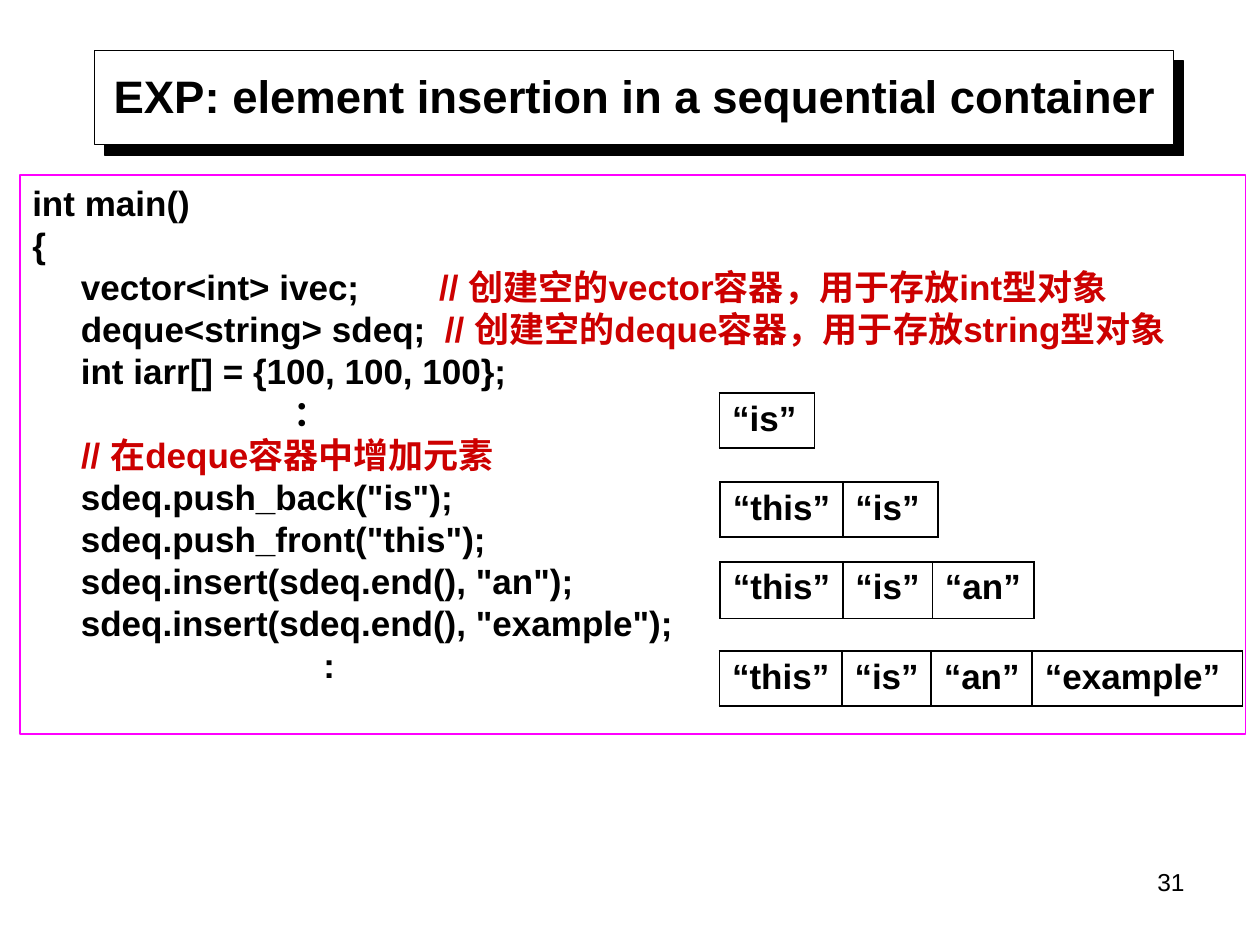
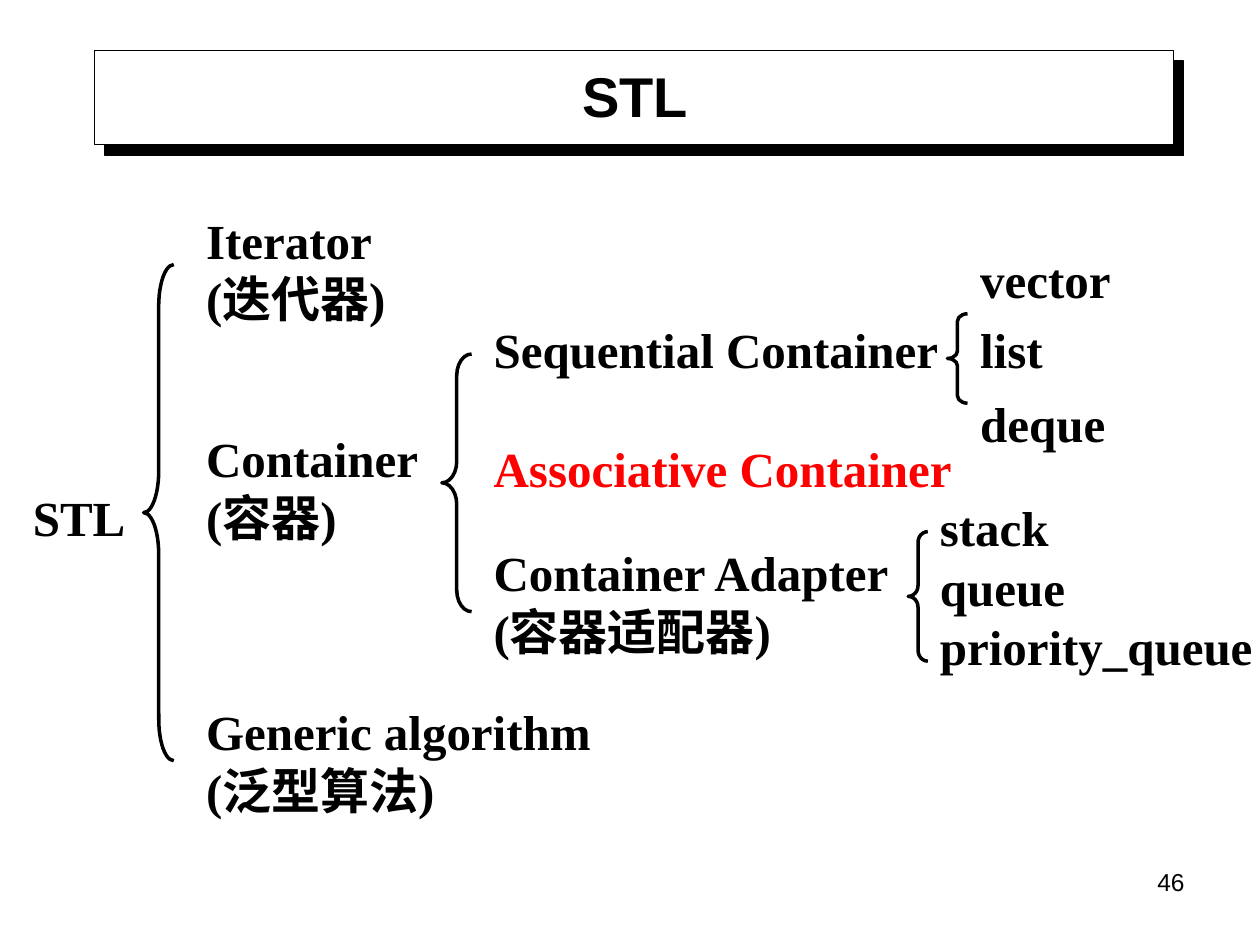
from dataclasses import dataclass

from lxml import etree
from pptx import Presentation
from pptx.dml.color import RGBColor
from pptx.enum.shapes import MSO_SHAPE
from pptx.enum.text import MSO_ANCHOR, PP_ALIGN
from pptx.oxml.ns import qn
from pptx.util import Pt

RECTANGLE, LEFT_BRACE = MSO_SHAPE.RECTANGLE, MSO_SHAPE.LEFT_BRACE
TOP, MIDDLE = MSO_ANCHOR.TOP, MSO_ANCHOR.MIDDLE
LEFT, CENTER, RIGHT = PP_ALIGN.LEFT, PP_ALIGN.CENTER, PP_ALIGN.RIGHT
BLANK_LAYOUT = 6


@dataclass(frozen=True)
class Theme:
    ink: str = "000000"
    paper: str = "FFFFFF"
    frame: str = "FF00FF"
    comment: str = "CC0000"
    highlight: str = "FF0000"
    sans: str = "Arial"
    serif: str = "Times New Roman"
    title_size: int = 32
    long_title_size: int = 26
    code_size: int = 20
    tree_size: int = 28
    number_size: int = 14
    thin: float = 0.75
    cell_line: float = 1.08
    brace_line: float = 2
    leading: float = 1.2


def color(value):
    return RGBColor.from_string(value)


def add_child(parent, tag, **attributes):
    return etree.SubElement(parent, qn(tag), attributes)


def add_tab_stop(paragraph, position):
    tabs = add_child(paragraph._p.get_or_add_pPr(), "a:tabLst")
    add_child(tabs, "a:tab", pos=str(Pt(position)), algn="l")


def write(frame, text, *, size, font, ink, bold=True, align=LEFT, anchor=TOP,
          leading=None, comment_ink=None, tab_stops=None):
    """Fill a text frame; each line of text is one paragraph."""
    frame.word_wrap = True
    frame.vertical_anchor = anchor
    for number, line in enumerate(text.split("\n")):
        paragraph = frame.paragraphs[0] if number == 0 else frame.add_paragraph()
        paragraph.alignment = align
        if leading:
            paragraph.line_spacing = Pt(size * leading)
        if tab_stops and number in tab_stops:
            add_tab_stop(paragraph, tab_stops[number])
        code, mark, comment = line.partition("//")
        for part, part_ink in ((code, ink), (mark + comment, comment_ink or ink)):
            if part:
                run = paragraph.add_run()
                run.text = part
                run.font.size, run.font.name, run.font.bold = Pt(size), font, bold
                run.font.color.rgb = color(part_ink)


class Deck:
    def __init__(self, theme):
        self.theme = theme
        self.presentation = Presentation()
        self.presentation.slide_width = Pt(720)
        self.presentation.slide_height = Pt(540)
        self.slide = None

    def start_slide(self, title, size, number):
        theme = self.theme
        layout = self.presentation.slide_layouts[BLANK_LAYOUT]
        self.slide = self.presentation.slides.add_slide(layout)
        # Title band with its hard shadow
        band = self.shape(RECTANGLE, 54, 28.8, 616.5, 54, theme.ink, theme.thin,
                          fill=theme.paper)
        effects = band._element.spPr.find(qn("a:effectLst"))
        shadow = add_child(effects, "a:outerShdw", dist=str(Pt(8.5)),
                           dir="2700000", algn="ctr", rotWithShape="0")
        add_child(shadow, "a:srgbClr", val=theme.ink)
        self.text(title, 48.5, 31.7, 629, 45.4, size=size, font=theme.sans,
                  align=CENTER, anchor=MIDDLE)
        # Slide number
        self.text(str(number), 516, 491.8, 168, 37.4, size=theme.number_size,
                  font=theme.sans, bold=False, align=RIGHT)

    def shape(self, kind, left, top, width, height, line, weight, fill=None):
        shape = self.slide.shapes.add_shape(kind, Pt(left), Pt(top), Pt(width), Pt(height))
        shape.shadow.inherit = False
        if fill:
            shape.fill.solid()
            shape.fill.fore_color.rgb = color(fill)
        else:
            shape.fill.background()
        shape.line.color.rgb = color(line)
        shape.line.width = Pt(weight)
        return shape

    def text(self, text, left, top, width, height, *, ink=None, **style):
        box = self.slide.shapes.add_textbox(Pt(left), Pt(top), Pt(width), Pt(height))
        write(box.text_frame, text, ink=ink or self.theme.ink, **style)
        return box

    def code(self, text, left, top, width, height, tab_stops):
        theme = self.theme
        panel = self.shape(RECTANGLE, left, top, width, height, theme.frame, theme.thin)
        write(panel.text_frame, text, size=theme.code_size, font=theme.sans,
              ink=theme.ink, leading=theme.leading, comment_ink=theme.comment,
              tab_stops=tab_stops)

    def cells(self, words, widths, left, top, height):
        theme = self.theme
        table = self.slide.shapes.add_table(
            1, len(words), Pt(left), Pt(top), Pt(sum(widths)), Pt(height)).table
        table.first_row = table.horz_banding = False
        for column, (word, width) in enumerate(zip(words, widths)):
            table.columns[column].width = Pt(width)
            cell = table.cell(0, column)
            # The words nearly fill their cells, so leave them the right margin
            cell.margin_right = 0
            cell.fill.background()
            self.border(cell)
            write(cell.text_frame, f"“{word}”", size=theme.code_size,
                  font=theme.sans, ink=theme.ink)

    def border(self, cell):
        properties = cell._tc.get_or_add_tcPr()
        for position, side in enumerate("LRTB"):
            line = etree.Element(qn(f"a:ln{side}"), w=str(Pt(self.theme.cell_line)))
            add_child(add_child(line, "a:solidFill"), "a:srgbClr", val=self.theme.ink)
            properties.insert(position, line)

    def label(self, text, left, top, width, height, ink=None):
        box = self.text(text, left, top, width, height, ink=ink, anchor=MIDDLE,
                        size=self.theme.tree_size, font=self.theme.serif,
                        leading=self.theme.leading)
        box.text_frame.margin_right = 0

    def brace(self, left, top, width, height):
        brace = self.shape(LEFT_BRACE, left, top, width, height,
                           self.theme.ink, self.theme.brace_line)
        # Each curl is one twelfth of the height
        brace.adjustments[0] = height / 12 / width


CODE = """int main()
{
     vector<int> ivec;\t// 创建空的vector容器，用于存放int型对象
     deque<string> sdeq;\t// 创建空的deque容器，用于存放string型对象
     int iarr[] = {100, 100, 100};
\t：
     // 在deque容器中增加元素
     sdeq.push_back("is");
     sdeq.push_front("this");
     sdeq.insert(sdeq.end(), "an");
     sdeq.insert(sdeq.end(), "example");
\t:"""
CODE_TABS = {2: 232.5, 3: 235.8, 5: 149, 11: 166.3}

# Contents of the deque after each call: words, column widths, left, top, height
DEQUE_STATES = [
    (["is"], [54.3], 411.1, 224.6, 31.4),
    (["this", "is"], [70, 54.3], 411.6, 275.6, 31.4),
    (["this", "is", "an"], [70, 51.2, 58.2], 411.6, 321.1, 32.4),
    (["this", "is", "an", "example"], [70, 51, 57.8, 120.2], 411.1, 372.2, 31.4),
]

# Tree labels: text, left, top, width, height
BRANCHES = [
    ("STL", 11.7, 270, 74, 51),
    ("Iterator\n(迭代器)", 110.7, 128.2, 142, 51),
    ("Container\n(容器)", 110.7, 253, 148, 51),
    ("Generic algorithm\n(泛型算法)", 110.7, 406.1, 260.6, 57),
    ("Sequential Container", 275, 179.5, 295, 39.6),
    ("Container Adapter\n(容器适配器)", 275, 315, 250, 57),
]
SEQUENTIAL = [("vector", 139.7, 39.6), ("list", 179.5, 39.6), ("deque", 218.9, 45.4)]
ADAPTERS = ["stack", "queue", "priority_queue"]
BRACES = [
    (82.1, 151.2, 17.2, 283.5),
    (252.5, 202.3, 17, 147.2),
    (519, 303.8, 11.2, 74),
    (541.4, 179.3, 11.5, 51.1),
]


def build_insertion_slide(deck):
    deck.start_slide("EXP: element insertion in a sequential container",
                     deck.theme.long_title_size, 31)
    deck.code(CODE, 11.4, 100, 700.5, 319.5, CODE_TABS)
    for state in DEQUE_STATES:
        deck.cells(*state)


def build_tree_slide(deck):
    deck.start_slide("STL", deck.theme.title_size, 46)
    for branch in BRANCHES:
        deck.label(*branch)
    deck.label("Associative Container", 275, 247.7, 295, 39.6, ink=deck.theme.highlight)
    for name, top, height in SEQUENTIAL:
        deck.label(name, 553, top, 90, height)
    for row, name in enumerate(ADAPTERS):
        deck.label(name, 530, 281.5 + 33.9 * row, 190, 39.6)
    for brace in BRACES:
        deck.brace(*brace)


def main():
    deck = Deck(Theme())
    build_insertion_slide(deck)
    build_tree_slide(deck)
    deck.presentation.save("out.pptx")


if __name__ == "__main__":
    main()
